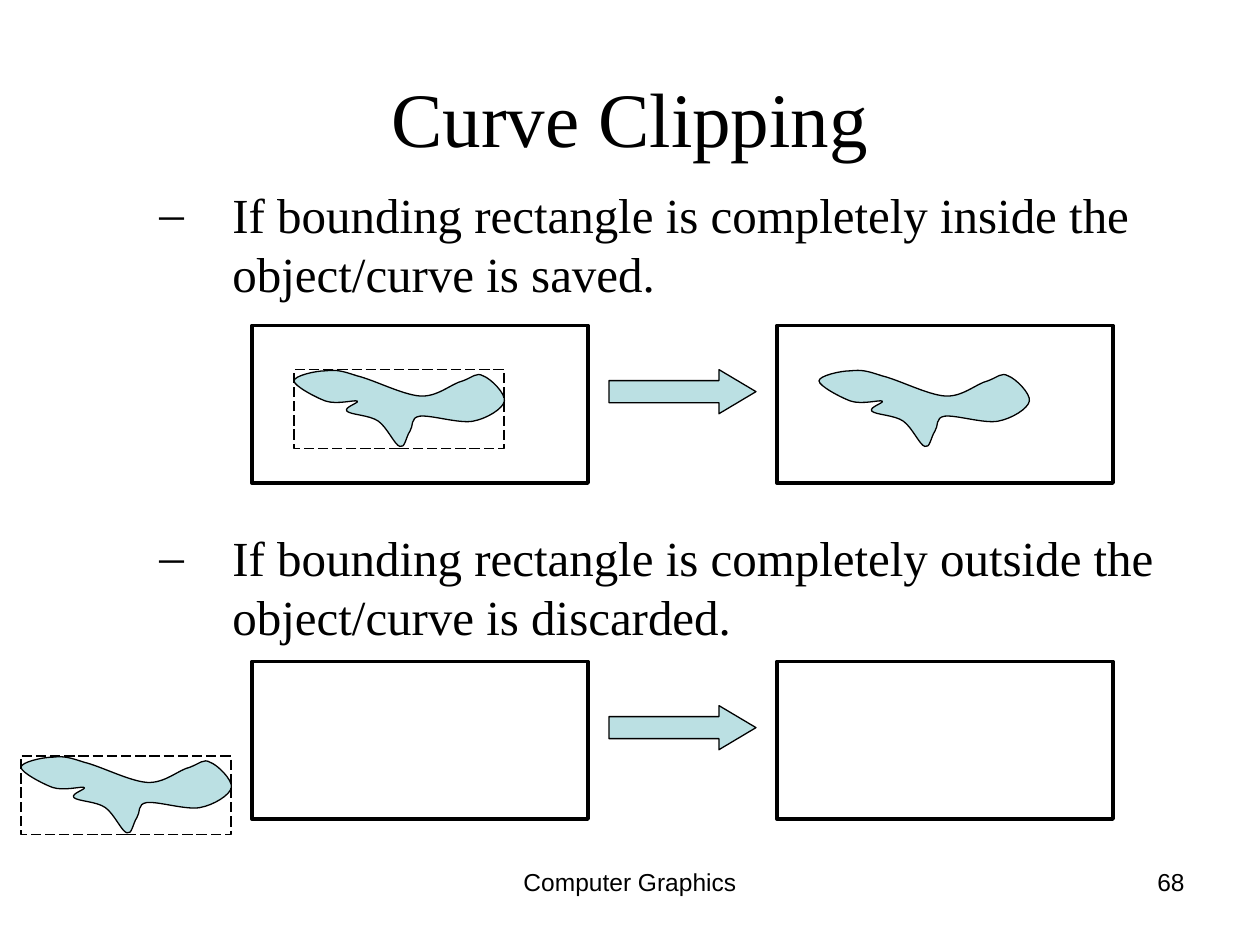
"""Build the curve clipping slide on a grid of 60 columns by 45 rows."""
from dataclasses import dataclass

from lxml import etree
from pptx import Presentation
from pptx.dml.color import RGBColor
from pptx.enum.dml import MSO_LINE
from pptx.enum.shapes import MSO_SHAPE
from pptx.enum.text import MSO_ANCHOR, PP_ALIGN
from pptx.oxml.ns import qn
from pptx.shapes.autoshape import Shape
from pptx.slide import Slide
from pptx.util import Inches, Length, Pt

RECTANGLE, ARROW = MSO_SHAPE.RECTANGLE, MSO_SHAPE.RIGHT_ARROW
LEFT, CENTER, RIGHT = PP_ALIGN.LEFT, PP_ALIGN.CENTER, PP_ALIGN.RIGHT
TOP, MIDDLE = MSO_ANCHOR.TOP, MSO_ANCHOR.MIDDLE
LONG_DASH = MSO_LINE.LONG_DASH

COLORS = {"ink": "000000", "fill": "BBE0E3"}
SERIF, SANS = "Times New Roman", "Arial"
CELLS_PER_INCH = 6
CURVE_UNITS_PER_INCH = 100
CURVE_START = (50, 5)
CURVE_SEGMENTS = [
    [(63, 8), (86, 20), (100, 21)],
    [(114, 22), (125, 11), (134, 9)],
    [(142, 6), (145, 2), (150, 5)],
    [(156, 7), (168, 19), (167, 25)],
    [(166, 31), (153, 39), (142, 41)],
    [(131, 43), (109, 36), (100, 37)],
    [(92, 38), (95, 45), (92, 49)],
    [(89, 53), (88, 63), (84, 61)],
    [(80, 60), (74, 46), (67, 41)],
    [(60, 36), (45, 36), (42, 33)],
    [(39, 30), (53, 26), (50, 25)],
    [(48, 24), (34, 28), (25, 25)],
    [(17, 22), (0, 13), (0, 9)],
    [(0, 5), (17, 1), (25, 1)],
    [(34, 0), (38, 1), (50, 5)],
]


@dataclass(frozen=True)
class Area:
    """A block of grid cells."""
    column: float
    row: float
    columns: float
    rows: float

    def lengths(self) -> list[Length]:
        """Return left, top, width and height."""
        return [cells(n) for n in (self.column, self.row, self.columns, self.rows)]


@dataclass(frozen=True)
class ClippingCase:
    """One row of the diagram: before, arrow, after."""
    row: float
    bounded_curve: tuple[float, float]
    saved_curve: tuple[float, float] | None = None


CASES = [
    ClippingCase(15.5, (14, 17.6), (39, 17.6)),
    ClippingCase(31.5, (1, 36)),
]
RULES = [
    ("If bounding rectangle is completely inside the object/curve is saved.", 7),
    ("If bounding rectangle is completely outside the object/curve is discarded.", 129),
]


def cells(count: float) -> Length:
    """Convert grid cells to a length."""
    return Inches(count / CELLS_PER_INCH)


def color(name: str) -> RGBColor:
    """Look up a named colour."""
    return RGBColor.from_string(COLORS[name])


def add_text(page: Slide, area: Area, text: str, *, size: float, font: str,
             align: PP_ALIGN = LEFT, anchor: MSO_ANCHOR = TOP) -> Shape:
    """Add a text box holding one formatted paragraph."""
    box = page.shapes.add_textbox(*area.lengths())
    box.text_frame.word_wrap = True
    box.text_frame.vertical_anchor = anchor
    write(box.text_frame.paragraphs[0], text, size=size, font=font, align=align)
    return box


def write(para, text: str, *, size: float, font: str, align: PP_ALIGN = LEFT) -> None:
    """Write formatted text into a paragraph."""
    para.alignment = align
    span = para.add_run()
    span.text = text
    span.font.size, span.font.name = Pt(size), font
    span.font.color.rgb = color("ink")


def add_rules(page: Slide, area: Area) -> None:
    """Add the dashed list of clipping rules."""
    box = page.shapes.add_textbox(*area.lengths())
    box.text_frame.word_wrap = True
    for index, (text, space) in enumerate(RULES):
        para = box.text_frame.add_paragraph() if index else box.text_frame.paragraphs[0]
        write(para, text, size=28, font=SERIF)
        para.space_before, para.line_spacing = Pt(space), Pt(33.6)
        properties = para._p.get_or_add_pPr()
        properties.set("marL", str(Inches(1.08)))
        properties.set("indent", str(Inches(-0.58)))
        etree.SubElement(properties, qn("a:buFont"), typeface=SERIF)
        etree.SubElement(properties, qn("a:buChar"), char="–")


def style(shape: Shape, *, weight: float = 0.75, filled: bool = False) -> Shape:
    """Set outline and fill, without shadow."""
    shape.shadow.inherit = False
    shape.line.color.rgb, shape.line.width = color("ink"), Pt(weight)
    if filled:
        shape.fill.solid()
        shape.fill.fore_color.rgb = color("fill")
    else:
        shape.fill.background()
    return shape


def add_curve(page: Slide, column: float, row: float) -> None:
    """Draw the closed Bezier curve with its corner at a grid cell."""
    builder = page.shapes.build_freeform(*CURVE_START, scale=Inches(1) / CURVE_UNITS_PER_INCH)
    builder.add_line_segments([point for segment in CURVE_SEGMENTS for point in segment])
    shape = style(builder.convert_to_shape(cells(column), cells(row)), filled=True)
    lines = list(shape._element.iter(qn("a:lnTo")))
    for first in range(0, 3 * len(CURVE_SEGMENTS), 3):
        bezier = etree.Element(qn("a:cubicBezTo"))
        lines[first].addprevious(bezier)
        for line in lines[first:first + 3]:
            bezier.append(line[0])
            line.getparent().remove(line)


def add_case(page: Slide, case: ClippingCase) -> None:
    """Draw one clipping case."""
    for column in (12, 37):
        window = Area(column, case.row, 16, 7.5)
        style(page.shapes.add_shape(RECTANGLE, *window.lengths()), weight=2.25)
    arrow_area = Area(29, case.row + 2.1, 7, 2.1)
    arrow = style(page.shapes.add_shape(ARROW, *arrow_area.lengths()), filled=True)
    arrow.adjustments[1] = 0.84
    add_curve(page, *case.bounded_curve)
    bounds = Area(*case.bounded_curve, 10, 3.75)
    style(page.shapes.add_shape(RECTANGLE, *bounds.lengths())).line.dash_style = LONG_DASH
    if case.saved_curve:
        add_curve(page, *case.saved_curve)


def main() -> None:
    """Build and save the deck."""
    deck = Presentation()
    deck.slide_width, deck.slide_height = cells(60), cells(45)
    page = deck.slides.add_slide(deck.slide_layouts[6])
    add_text(page, Area(20.5, 41, 19, 3.1), "Computer Graphics", size=14, font=SANS, align=CENTER)
    add_text(page, Area(43, 41, 14, 3.1), "68", size=14, font=SANS, align=RIGHT)
    add_rules(page, Area(4, 8.5, 56, 29.7))
    add_text(page, Area(3, 1.8, 54, 7.5), "Curve Clipping", size=44, font=SERIF,
             align=CENTER, anchor=MIDDLE)
    for case in CASES:
        add_case(page, case)
    deck.save("out.pptx")


if __name__ == "__main__":
    main()
